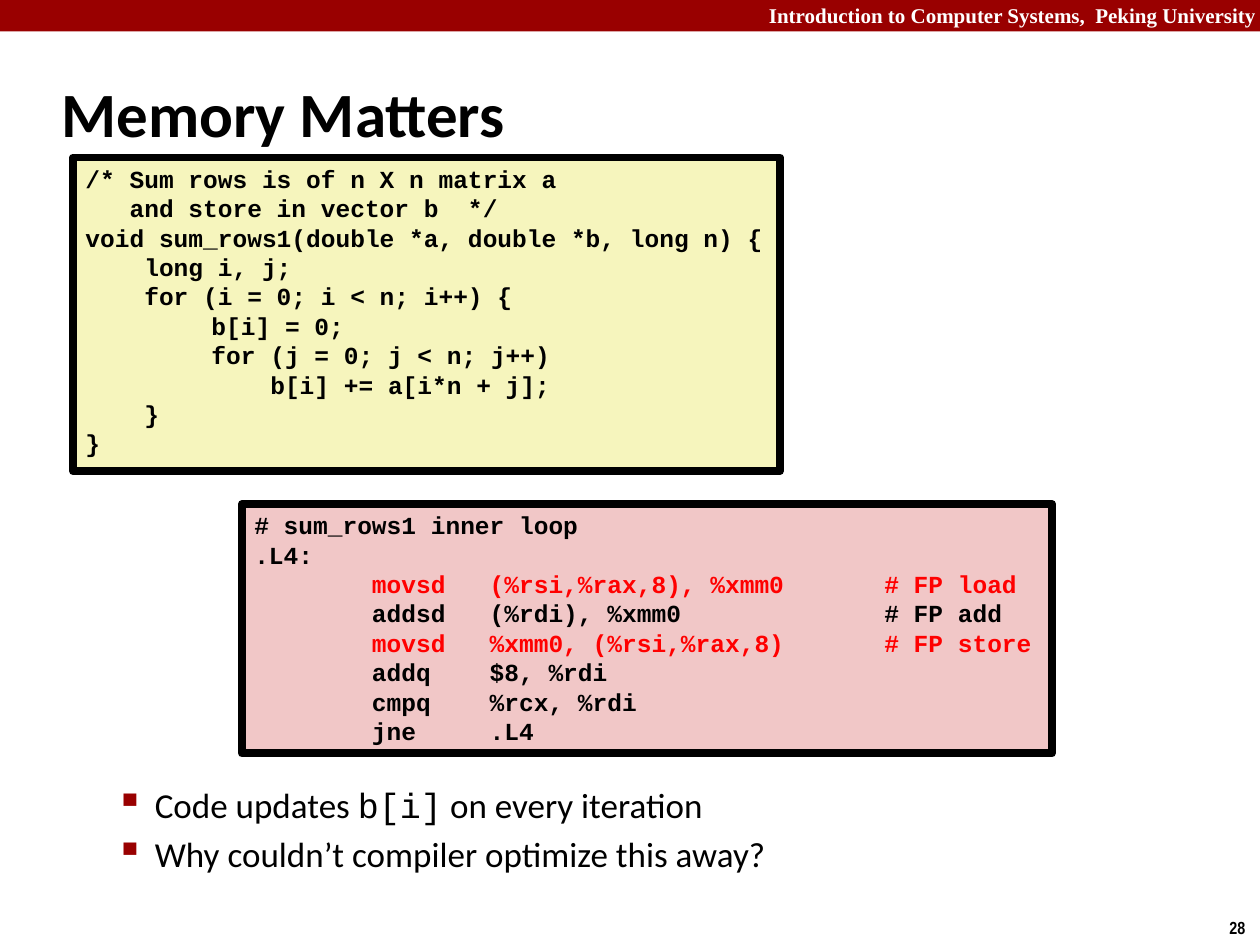
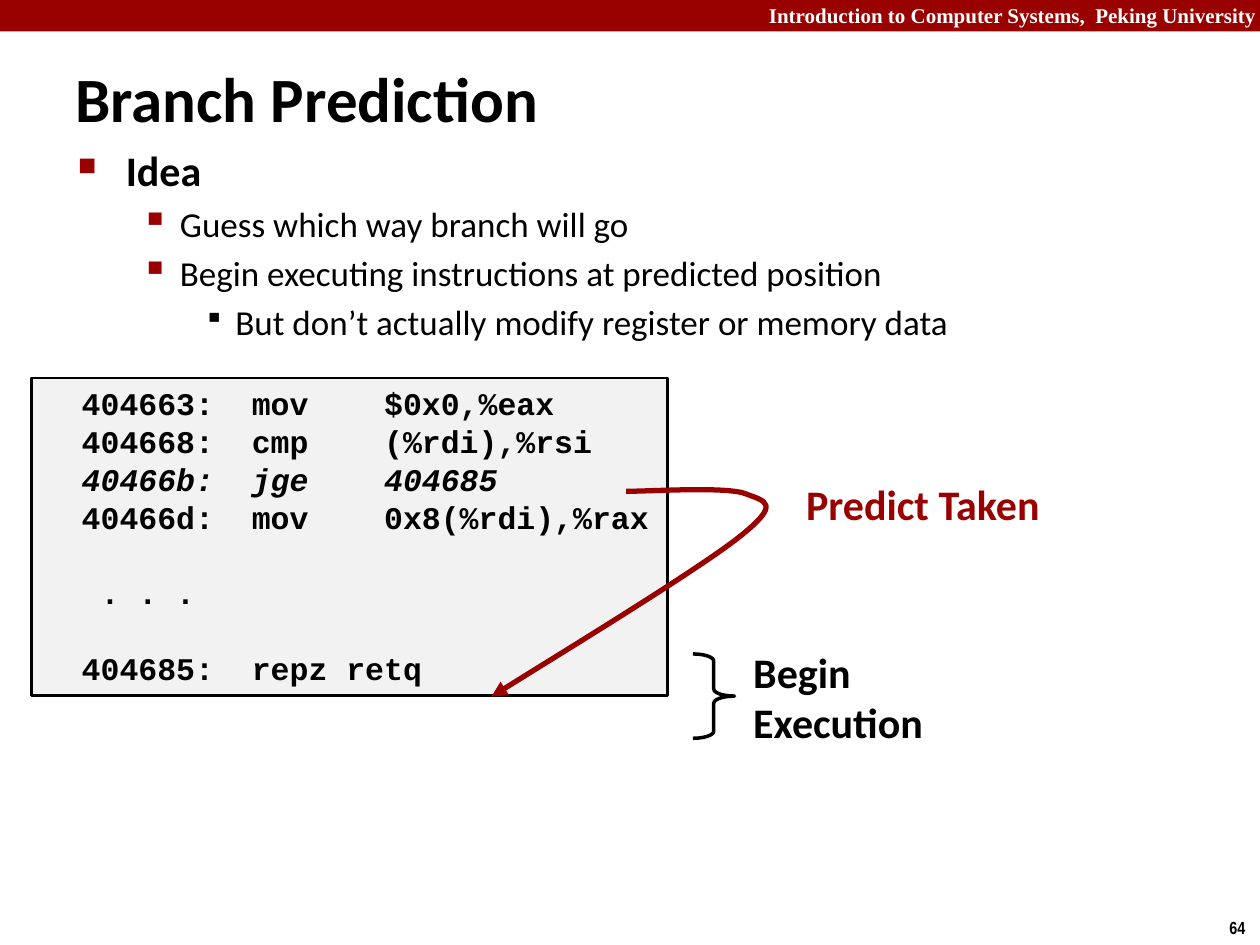
from lxml import etree
from pptx import Presentation
from pptx import util as u
from pptx.dml.color import RGBColor
from pptx.enum import shapes, text
from pptx.oxml import ns

COLOURS = {"crimson": "990000", "black": "000000", "white": "FFFFFF", "red": "FF0000",
           "yellow": "F6F5BD", "pink": "F1C7C7", "grey": "F2F2F2"}
TITLE = {"name": "Calibri", "size": 36, "bold": True, "color": "black"}
HEADER = {"name": "Times New Roman", "size": 12, "bold": True, "color": "white"}
NUMBER = {"name": "Arial Narrow", "size": 10, "bold": True, "color": "black"}
LABEL = {"name": "Calibri", "size": 24, "bold": True, "color": "black"}
BODY = {"name": "Calibri", "size": 20, "bold": False, "color": "black"}
CODE = {"name": "Courier New", "bold": True, "color": "black"}
# left margin, hanging indent, bullet, bullet percent, bullet colour
BULLETS = [(0.38, 0.38, "■", 60, "crimson"),
           (0.81, 0.31, "▪", 110, "crimson"),
           (1.25, 0.25, "▪", 80, "black")]


def colour(name):
    return RGBColor.from_string(COLOURS[name])


def write(shape, paragraphs, style, bulleted=False):
    """Fill a shape; each paragraph is (level, runs), each run (text, style changes)."""
    frame = shape.text_frame
    frame.word_wrap = True
    frame.vertical_anchor = text.MSO_ANCHOR.TOP
    for index, (level, runs) in enumerate(paragraphs):
        paragraph = frame.paragraphs[0] if index == 0 else frame.add_paragraph()
        paragraph.alignment = text.PP_ALIGN.LEFT
        properties = paragraph._p.get_or_add_pPr()
        if bulleted:
            margin, hanging, mark, percent, mark_colour = BULLETS[level]
            paragraph.level = level
            properties.set("marL", str(u.Inches(margin)))
            properties.set("indent", str(-u.Inches(hanging)))
            tint = etree.SubElement(properties, ns.qn("a:buClr"))
            etree.SubElement(tint, ns.qn("a:srgbClr"), val=COLOURS[mark_colour])
            etree.SubElement(properties, ns.qn("a:buSzPct"), val=str(percent * 1000))
            etree.SubElement(properties, ns.qn("a:buChar"), char=mark)
            paragraph.space_before = u.Pt(4 if index else 0)
        if style["name"] == "Courier New":
            tabs = etree.SubElement(properties, ns.qn("a:tabLst"))
            for inch in range(1, 6):
                etree.SubElement(tabs, ns.qn("a:tab"), pos=str(u.Inches(inch)), algn="l")
            paragraph.line_spacing = u.Pt(1.2 * style["size"])
        for words, changes in runs:
            run = paragraph.add_run()
            run.text = words
            for key, value in {**style, **changes}.items():
                if key == "color":
                    run.font.color.rgb = colour(value)
                else:
                    setattr(run.font, key, u.Pt(value) if key == "size" else value)
    return frame


presentation = Presentation()
presentation.slide_width, presentation.slide_height = u.Inches(10), u.Inches(7.5)

RED, ITALIC, MONO = {"color": "red"}, {"italic": True}, {"name": "Courier New"}
sum_rows = """/* Sum rows is of n X n matrix a
   and store in vector b  */
void sum_rows1(double *a, double *b, long n) {
    long i, j;
    for (i = 0; i < n; i++) {
\tb[i] = 0;
\tfor (j = 0; j < n; j++)
\t    b[i] += a[i*n + j];
    }
}"""
inner_loop = """# sum_rows1 inner loop
.L4:
        movsd   (%rsi,%rax,8), %xmm0\t# FP load
        addsd   (%rdi), %xmm0\t\t# FP add
        movsd   %xmm0, (%rsi,%rax,8)\t# FP store
        addq    $8, %rdi
        cmpq    %rcx, %rdi
        jne     .L4"""
branch = """  404663:  mov    $0x0,%eax
  404668:  cmp    (%rdi),%rsi
  40466b:  jge    404685
  40466d:  mov    0x8(%rdi),%rax

   . . .

  404685:  repz retq"""

# Code panels: box, fill, border width, text size, code, marked word, style of marked lines
pages = [
    {"number": "28", "title": "Memory Matters", "title_box": (0.39, 0.48, 8.3, 0.83),
     "body_box": (0.32, 6.17, 9.09, 0.88),
     "body": [(1, [("Code updates ", {}), ("b[i]", MONO), (" on every iteration", {})]),
              (1, [("Why couldn’t compiler optimize this away?", {})])],
     "panels": [((1.92, 4, 6.43, 1.98), "pink", 4.5, 14, inner_loop, "movsd", RED),
                ((0.58, 1.25, 5.61, 2.49), "yellow", 4.5, 14, sum_rows, None, {})],
     "labels": []},
    {"number": "64", "title": "Branch Prediction", "title_box": (0.5, 0.46, 6.16, 0.63),
     "body_box": (0.52, 1.1, 9.09, 2.24),
     "body": [(0, [("Idea", {"size": 24, "bold": True})]),
              (1, [("Guess which way branch will go", {})]),
              (1, [("Begin executing instructions at predicted position", {})]),
              (2, [("But don’t actually modify register or memory data", {})])],
     "panels": [((0.25, 3, 5.05, 2.52), "grey", 1.5, 18, branch, "jge", ITALIC)],
     "labels": [((6.3, 3.75, 2.07, 0.5), ["Predict Taken"], "crimson"),
                ((5.88, 5.08, 1.56, 0.91), ["Begin", "Execution"], "black")]},
]

for page in pages:
    slide = presentation.slides.add_slide(presentation.slide_layouts[6])
    band = slide.shapes.add_shape(shapes.MSO_SHAPE.RECTANGLE, 0, 0, u.Inches(10), u.Inches(0.25))
    band.shadow.inherit = False
    band.fill.solid()
    band.fill.fore_color.rgb = colour("crimson")
    band.line.fill.background()

    header = slide.shapes.add_textbox(*map(u.Inches, (6, -0.03, 4.07, 0.3)))
    course = "Introduction to Computer Systems,  Peking University"
    frame = write(header, [(0, [(course, {})])], HEADER)
    frame.paragraphs[0].alignment = text.PP_ALIGN.RIGHT
    number = slide.shapes.add_textbox(*map(u.Inches, (9.66, 7.23, 0.34, 0.27)))
    write(number, [(0, [(page["number"], {})])], NUMBER).word_wrap = False
    title = slide.shapes.add_textbox(*map(u.Inches, page["title_box"]))
    frame = write(title, [(0, [(page["title"], {})])], TITLE)
    frame.vertical_anchor = text.MSO_ANCHOR.MIDDLE
    body = slide.shapes.add_textbox(*map(u.Inches, page["body_box"]))
    write(body, page["body"], BODY, bulleted=True)

    for box, fill, border, size, code, marked, mark_style in page["panels"]:
        panel = slide.shapes.add_shape(shapes.MSO_SHAPE.RECTANGLE, *map(u.Inches, box))
        panel.shadow.inherit = False
        panel.fill.solid()
        panel.fill.fore_color.rgb = colour(fill)
        panel.line.color.rgb = colour("black")
        panel.line.width = u.Pt(border)
        lines = [(0, [(line, mark_style if marked and marked in line else {})])
                 for line in code.split("\n")]
        write(panel, lines, {**CODE, "size": size})

    for box, lines, label_colour in page["labels"]:
        label = slide.shapes.add_textbox(*map(u.Inches, box))
        write(label, [(0, [(line, {})]) for line in lines], {**LABEL, "color": label_colour})

# Branch Prediction: brace beside the target, and the curved jump arrow
brace = slide.shapes.add_shape(shapes.MSO_SHAPE.RIGHT_BRACE,
                               *map(u.Inches, (5.5, 5.19, 0.33, 0.67)))
brace.adjustments[0], brace.adjustments[1] = 0.17, 0.5

curve = [(3.9, 5.53), (4.23, 5.32), (5.53, 4.53), (5.87, 4.26), (6.21, 3.99),
         (6.07, 3.98), (5.92, 3.92), (5.77, 3.86), (5.17, 3.9), (4.97, 3.9)]
builder = slide.shapes.build_freeform(*curve[0], scale=u.Inches(1))
builder = slide.shapes.build_freeform(*map(u.Inches, curve[0]))
builder.add_line_segments([tuple(map(u.Inches, point)) for point in curve[1:]], close=False)
jump = builder.convert_to_shape()
outline = jump._element.find(".//" + ns.qn("a:path"))
segments = outline.findall(ns.qn("a:lnTo"))
for start in range(0, len(segments), 3):
    bezier = etree.SubElement(outline, ns.qn("a:cubicBezTo"))
    for segment in segments[start:start + 3]:
        bezier.append(segment[0])
        outline.remove(segment)

for shape, line_colour, width in [(brace, "black", 2), (jump, "crimson", 3)]:
    shape.shadow.inherit = False
    shape.fill.background()
    shape.line.color.rgb = colour(line_colour)
    shape.line.width = u.Pt(width)
etree.SubElement(jump.line._get_or_add_ln(), ns.qn("a:headEnd"), type="triangle")

presentation.save("out.pptx")
